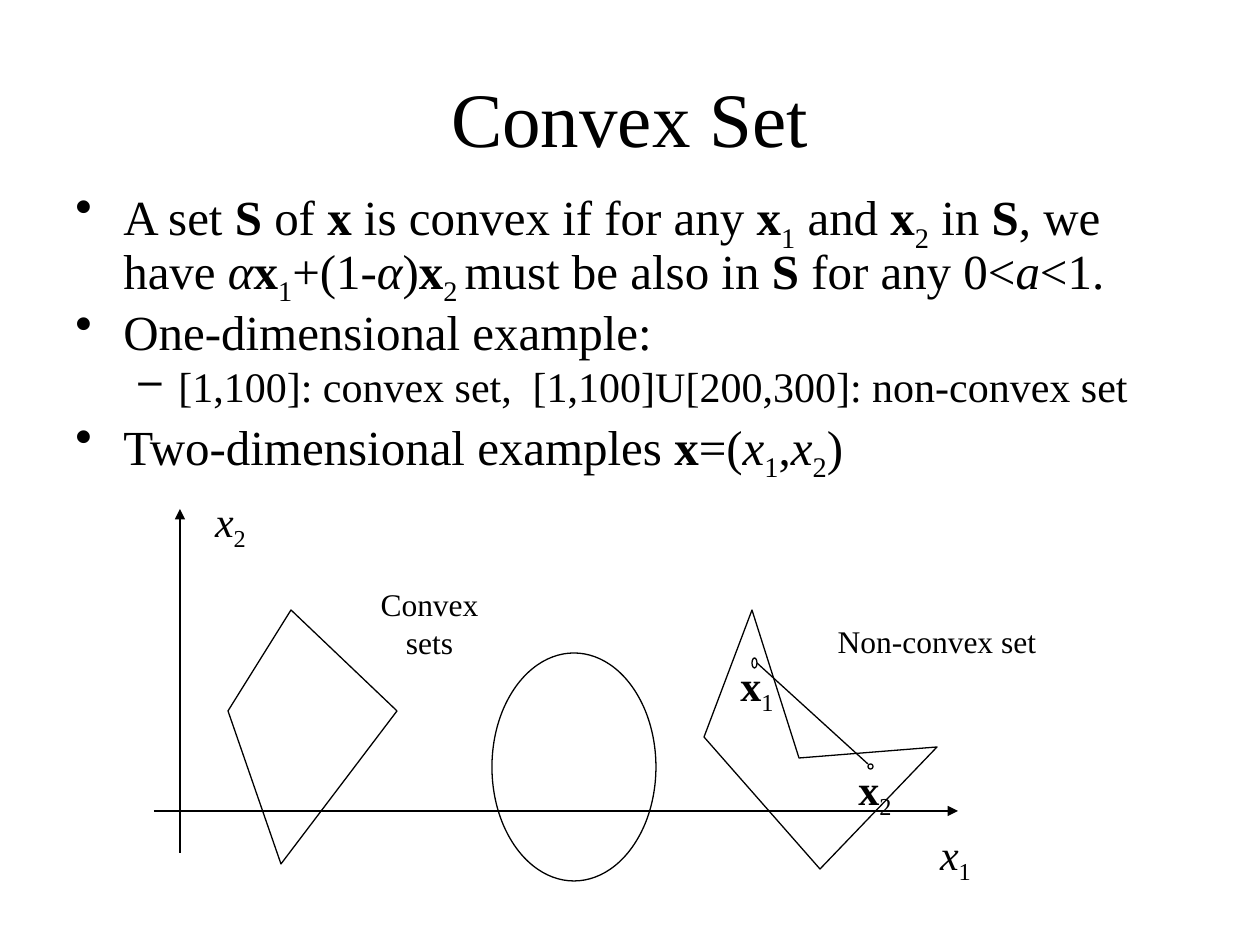
from pptx import Presentation
from pptx.dml.color import RGBColor
from pptx.enum.shapes import MSO_CONNECTOR, MSO_SHAPE
from pptx.enum.text import MSO_ANCHOR, PP_ALIGN
from pptx.oxml.ns import qn
from pptx.util import Pt
from lxml import etree

PX = 914400 / 126
BLACK = RGBColor(0, 0, 0)
FONT = "Times New Roman"
CENTER, LEFT = PP_ALIGN.CENTER, PP_ALIGN.LEFT
TOP, MIDDLE = MSO_ANCHOR.TOP, MSO_ANCHOR.MIDDLE
STRAIGHT, OVAL = MSO_CONNECTOR.STRAIGHT, MSO_SHAPE.OVAL
MARKS = {"*": "bold", "/": "italic", "_": "sub"}

BULLETS = [
    (0, "A set *S* of *x* is convex if for any *x*_1_ and *x*_2_ in *S*, we have "
        "/α/*x*_1_+(1-/α/)*x*_2 _must be also in *S* for any 0</a/<1."),
    (0, "One-dimensional example:"),
    (1, "[1,100]: convex set,  [1,100]U[200,300]: non-convex set"),
    (0, "Two-dimensional examples *x*=(/x/_1_,/x/_2_)"),
]
LEVELS = [("•", 48, 48, 28, 7), ("–", 103, 40, 24, 6)]


def emu(*lengths):
    return [round(n * PX) for n in lengths]


def add_run(p, text, size, bold=False, italic=False, sub=False):
    r = p.add_run()
    r.text = text
    r.font.name, r.font.size = FONT, Pt(size)
    r.font.bold, r.font.italic = bold, italic
    r.font.color.rgb = BLACK
    if sub:
        r._r.get_or_add_rPr().set("baseline", "-25000")


def add_marked(p, text, size):
    style, part = {}, ""
    for ch in text:
        if ch not in MARKS:
            part += ch
            continue
        if part:
            add_run(p, part, size, **style)
        name = MARKS[ch]
        style[name], part = not style.get(name, False), ""
    if part:
        add_run(p, part, size, **style)


def text_frame(s, box, anchor=TOP):
    tf = s.shapes.add_textbox(*emu(*box)).text_frame
    tf.word_wrap = True
    tf.vertical_anchor = anchor
    return tf


def add_text(s, box, text, size=24, anchor=TOP):
    p = text_frame(s, box, anchor).paragraphs[0]
    p.alignment = CENTER
    add_marked(p, text, size)


def add_bullets(s, box):
    tf = text_frame(s, box)
    for i, (level, text) in enumerate(BULLETS):
        mark, margin, hang, size, before = LEVELS[level]
        p = tf.add_paragraph() if i else tf.paragraphs[0]
        p.alignment, p.level = LEFT, level
        p.line_spacing = 0.8
        p.space_before = Pt(before)
        pPr = p._p.get_or_add_pPr()
        pPr.set("marL", str(round(margin * PX)))
        pPr.set("indent", str(round(-hang * PX)))
        etree.SubElement(pPr, qn("a:buChar")).set("char", mark)
        add_marked(p, text, size)


def outline(shape):
    shape.shadow.inherit = False
    shape.fill.background()
    shape.line.color.rgb = BLACK
    shape.line.width = Pt(0.75)


def add_oval(s, x, y, w, h):
    outline(s.shapes.add_shape(OVAL, *emu(x, y, w, h)))


def add_polygon(s, x, y, points):
    points = [(x + dx, y + dy) for dx, dy in points]
    builder = s.shapes.build_freeform(*points[0], scale=PX)
    builder.add_line_segments(points[1:], close=True)
    outline(builder.convert_to_shape())


def add_line(s, x1, y1, x2, y2, arrow=False):
    line = s.shapes.add_connector(STRAIGHT, *emu(x1, y1, x2, y2))
    line.line.color.rgb = BLACK
    line.line.width = Pt(0.75)
    spPr = line._element.spPr
    if arrow:
        etree.SubElement(spPr.get_or_add_ln(), qn("a:tailEnd")).set("type", "triangle")
    etree.SubElement(spPr, qn("a:effectLst"))


def add_axes(s, x, y):
    add_line(s, x, y + 302, x + 804, y + 302, arrow=True)
    add_line(s, x + 26, y + 344, x + 26, y, arrow=True)
    add_text(s, (x + 762, y + 313, 79, 71), "/x/_1_")
    add_text(s, (x + 37, y - 20, 79, 71), "/x/_2_")


def add_convex_sets(s, x, y):
    add_polygon(s, x, y, [(0, 101), (63, 0), (169, 101), (53, 254)])
    add_oval(s, x + 264, y + 43, 164, 228)
    add_text(s, (x + 117, y - 31, 169, 88), "Convex sets", size=18)


def add_non_convex_set(s, x, y):
    add_polygon(s, x, y, [(48, 0), (0, 127), (116, 259), (233, 137), (95, 148)])
    add_oval(s, x + 48, y + 48, 5, 10)
    add_oval(s, x + 164, y + 154, 5, 5)
    add_line(s, x + 53, y + 53, x + 164, y + 154)
    add_text(s, (x + 16, y + 43, 74, 71), "*x*_1_")
    add_text(s, (x + 138, y + 147, 66, 71), "*x*_2_")
    add_text(s, (x + 90, y + 6, 286, 50), "Non-convex set", size=18)


def main():
    prs = Presentation()
    prs.slide_width, prs.slide_height = emu(1260, 945)
    s = prs.slides.add_slide(prs.slide_layouts[6])
    add_text(s, (63, 38, 1134, 158), "Convex Set", size=44, anchor=MIDDLE)
    add_bullets(s, (63, 187, 1134, 301))
    add_axes(s, 154, 509)
    add_convex_sets(s, 228, 610)
    add_non_convex_set(s, 704, 610)
    prs.save("out.pptx")


if __name__ == "__main__":
    main()
